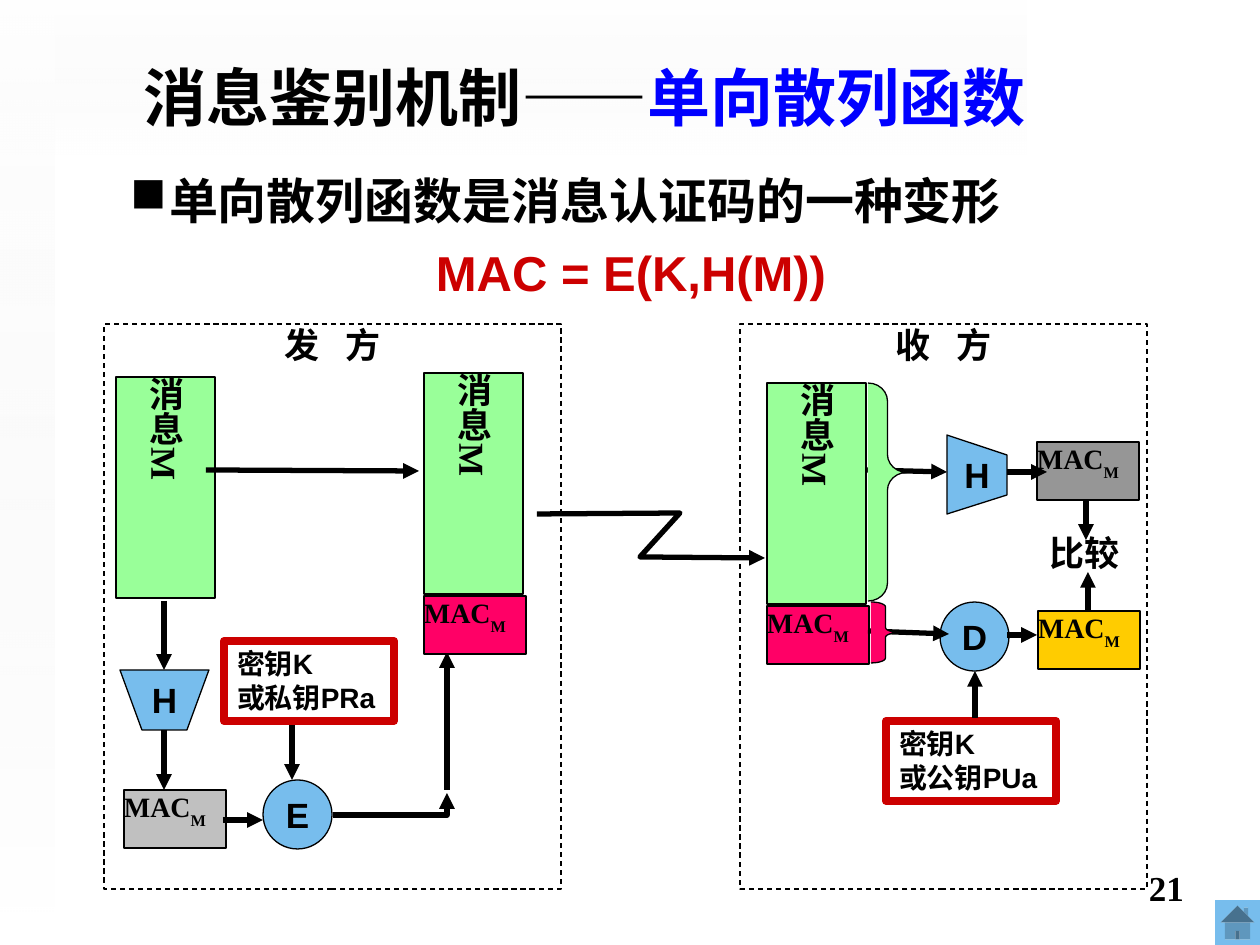
from dataclasses import dataclass
from typing import Optional

from lxml import etree
from pptx import Presentation
from pptx import util as u
from pptx.dml import color
from pptx.enum import dml, shapes, text
from pptx.oxml import ns

SCALE = 914400 / 126  # EMU per px
KIND = shapes.MSO_SHAPE
ALIGN = text.PP_ALIGN
ANCHOR = text.MSO_ANCHOR


@dataclass(frozen=True)
class Theme:
    black: str = "000000"
    white: str = "FFFFFF"
    grey: str = "EAEAEA"
    blue: str = "0000FF"
    red: str = "CC0000"
    sky: str = "77BDED"
    green: str = "99FF99"
    pink: str = "FF0066"
    gold: str = "FFCC00"
    silver: str = "C0C0C0"
    steel: str = "969696"
    sans: str = "Arial"
    serif: str = "Times New Roman"
    title: int = 36
    body: int = 28
    label: int = 20
    small: int = 16


T = Theme()


@dataclass(frozen=True)
class Run:
    words: str
    size: int = T.label
    font: str = T.serif
    ink: str = T.black
    extra: tuple = ()  # further run attributes: (name, value)


@dataclass(frozen=True)
class Box:
    """A preset shape, an outline given by points, or a plain text box."""
    at: tuple = ()
    kind: Optional[int] = KIND.RECTANGLE
    points: tuple = ()
    fill: Optional[str] = None
    line: Optional[str] = T.black
    weight: float = 0.75
    dash: bool = False
    paragraphs: tuple = ()
    align: int = ALIGN.CENTER
    anchor: int = ANCHOR.TOP
    inset: tuple = (0, 0)
    wrap: bool = True
    vertical: bool = False
    adjust: tuple = ()


@dataclass(frozen=True)
class Arrow:
    points: tuple


PADDED = (13, 6)


# Part builders
def label(kind: Optional[int], words: str, **place) -> Box:
    return Box(kind=kind, fill=T.sky, anchor=ANCHOR.MIDDLE, inset=PADDED, wrap=False,
               paragraphs=((Run(words, font=T.sans),),), **place)


def circle(left: int, top: int, words: str) -> Box:
    return label(KIND.OVAL, words, at=(left, top, 69, 69))


def side(left: int, width: int, first: str) -> Box:
    return Box((left, 324, width, 565), fill=T.white, dash=True,
               paragraphs=((Run(first + " ", extra=(("spc", "500"),)), Run("方")),))


def message(left: int, top: int) -> Box:
    return Box((left, top, 99, 221), fill=T.green, anchor=ANCHOR.MIDDLE, vertical=True,
               paragraphs=((Run("消息M"),),))


def mac(left: int, top: int, fill: str) -> Box:
    return Box((left, top, 102, 58), fill=fill, align=ALIGN.LEFT,
               paragraphs=((Run("MAC", T.small),
                            Run("M", T.small, extra=(("baseline", "-30000"),))),))


def key(left: int, top: int, second: str) -> Box:
    lines = tuple((Run(words, T.small, T.sans),) for words in ("密钥K", second))
    return Box((left, top, 170, 80), fill=T.white, line=T.red, weight=4.5, wrap=False,
               align=ALIGN.LEFT, inset=PADDED, paragraphs=lines)


def brace(at: tuple, fill: str, curve: float, tip: float) -> Box:
    return Box(at, KIND.RIGHT_BRACE, fill=fill, adjust=(curve, tip))


def plain(at: tuple, *paragraphs: tuple, **style) -> Box:
    return Box(at, None, line=None, inset=PADDED, paragraphs=paragraphs, **style)


# Drawing
def rgb(value: str) -> color.RGBColor:
    return color.RGBColor.from_string(value)


def px(*lengths: int) -> list[int]:
    return [round(length * SCALE) for length in lengths]


def outline(slide, points: tuple, close: bool):
    builder = slide.shapes.build_freeform(*points[0], scale=SCALE)
    builder.add_line_segments(points[1:], close=close)
    return builder.convert_to_shape()


def write(shape, box: Box) -> None:
    frame = shape.text_frame
    across, down = px(*box.inset)
    settings = {"margin_left": across, "margin_right": across, "margin_top": down,
                "margin_bottom": down, "word_wrap": box.wrap, "vertical_anchor": box.anchor}
    for name, value in settings.items():
        setattr(frame, name, value)
    if box.vertical:
        frame._txBody.bodyPr.set("vert", "eaVert")
    for index, runs in enumerate(box.paragraphs):
        paragraph = frame.add_paragraph() if index else frame.paragraphs[0]
        paragraph.alignment = box.align
        for part in runs:
            run = paragraph.add_run()
            run.text = part.words
            font = {"size": u.Pt(part.size), "name": part.font, "bold": True}
            for name, value in font.items():
                setattr(run.font, name, value)
            run.font.color.rgb = rgb(part.ink)
            for name, value in part.extra:
                run._r.get_or_add_rPr().set(name, value)


def draw_box(slide, box: Box):
    if box.points:
        shape = outline(slide, box.points, True)
    elif box.kind is None:
        shape = slide.shapes.add_textbox(*px(*box.at))
    else:
        shape = slide.shapes.add_shape(box.kind, *px(*box.at))
        shape.shadow.inherit = False
    if box.points:
        shape.shadow.inherit = False
    for index, value in enumerate(box.adjust):
        shape.adjustments[index] = value
    if box.fill:
        shape.fill.solid()
        shape.fill.fore_color.rgb = rgb(box.fill)
    if box.line:
        shape.line.color.rgb = rgb(box.line)
        shape.line.width = u.Pt(box.weight)
    else:
        shape.line.fill.background()
    if box.dash:
        shape.line.dash_style = dml.MSO_LINE.DASH
    if box.paragraphs:
        write(shape, box)
    return shape


def draw_arrow(slide, arrow: Arrow) -> None:
    if len(arrow.points) == 2:
        start, end = arrow.points
        line = slide.shapes.add_connector(shapes.MSO_CONNECTOR.STRAIGHT, *px(*start, *end))
        etree.SubElement(line._element.spPr, ns.qn("a:effectLst"))
    else:
        line = outline(slide, arrow.points, False)
        line.shadow.inherit = False
        line.fill.background()
    line.line.color.rgb = rgb(T.black)
    line.line.width = u.Pt(3)
    stroke = line._element.spPr.find(ns.qn("a:ln"))
    etree.SubElement(stroke, ns.qn("a:tailEnd"), type="triangle")


def draw_band(slide, at: tuple, angle: int, opacity: int) -> None:
    band = draw_box(slide, Box(at, line=None))
    band.fill.gradient()
    band.fill.gradient_angle = angle
    for stop, tint, alpha in zip(band.fill.gradient_stops, (T.grey, T.white), (0, opacity)):
        stop.color.rgb = rgb(tint)
        solid = stop._gs.find(ns.qn("a:srgbClr"))
        etree.SubElement(solid, ns.qn("a:alpha"), val=str(alpha * 1000))


PARTS = (
    # Heading and page furniture
    Box((1215, 900, 45, 45), KIND.ACTION_BUTTON_HOME, fill=T.sky, line=None),
    plain((34, 35, 1101, 122), (Run("消息鉴别机制——", T.title, T.sans),
                                Run("单向散列函数", T.title, T.sans, T.blue)),
          anchor=ANCHOR.MIDDLE),
    # Sender
    side(104, 457, "发"), side(740, 407, "收"),
    Arrow(((537, 514), (680, 513), (640, 557), (765, 558))),
    Arrow(((292, 711), (292, 780))), circle(263, 780, "E"), key(224, 641, "或私钥PRa"),
    message(116, 377),
    Arrow(((206, 470), (419, 471))), Arrow(((447, 790), (447, 652))),
    mac(424, 596, T.pink), message(424, 373),
    # Receiver
    mac(767, 606, T.pink), message(767, 383),
    circle(940, 602, "D"), key(886, 721, "或公钥PUa"), Arrow(((975, 718), (975, 671))),
    Arrow(((868, 631), (949, 634))), brace((871, 602, 29, 61), T.pink, 0.17, 0.5),
    Box((1050, 532, 76, 87), fill=T.white, line=None, align=ALIGN.LEFT,
        paragraphs=((Run("比较"),),)),
    Arrow(((1086, 493), (1086, 540))), Arrow(((1088, 619), (1088, 572))),
    mac(1038, 611, T.gold), Arrow(((1007, 635), (1037, 635))),
    Arrow(((867, 470), (947, 472))), brace((868, 383, 39, 218), T.green, 0.46, 0.41),
    mac(1037, 442, T.steel), Arrow(((1007, 472), (1047, 472))),
    label(None, "H", points=((947, 435), (1007, 455), (1007, 495), (947, 514))),
    # Sender's hash
    mac(124, 790, T.silver), Arrow(((223, 820), (263, 820))),
    Arrow(((164, 601), (164, 670))), Arrow(((164, 730), (164, 790))),
    label(None, "H", points=((120, 670), (209, 670), (187, 730), (142, 730))),
    Arrow(((333, 815), (447, 815), (447, 793))),
    plain((903, 861, 294, 66), (Run("21"),), align=ALIGN.RIGHT),
)


def draw_body(slide) -> None:
    body = draw_box(slide, plain(
        (54, 165, 1091, 150), (Run("单向散列函数是消息认证码的一种变形", T.body, T.sans),),
        (Run("MAC = E(K,H(M))", T.body, T.sans, T.red),)))
    point, formula = body.text_frame.paragraphs
    for paragraph, bullet in ((point, "a:buChar"), (formula, "a:buNone")):
        margins = paragraph._p.get_or_add_pPr()
        margins.set("marL", str(u.Inches(0.81)))
        margins.set("indent", str(u.Inches(-0.31)))
        mark = etree.SubElement(margins, ns.qn(bullet))
        if bullet == "a:buChar":
            mark.set("char", "■")
    point.alignment = ALIGN.LEFT
    formula.space_before = u.Pt(7)


def main() -> None:
    deck = Presentation()
    deck.slide_width, deck.slide_height = px(1260, 945)
    slide = deck.slides.add_slide(deck.slide_layouts[6])
    draw_band(slide, (0, 0, 1027, 155), 270, 49)
    draw_band(slide, (0, 0, 54, 915), 90, 65)
    draw_body(slide)
    for part in PARTS:
        (draw_arrow if isinstance(part, Arrow) else draw_box)(slide, part)
    deck.save("out.pptx")


if __name__ == "__main__":
    main()
